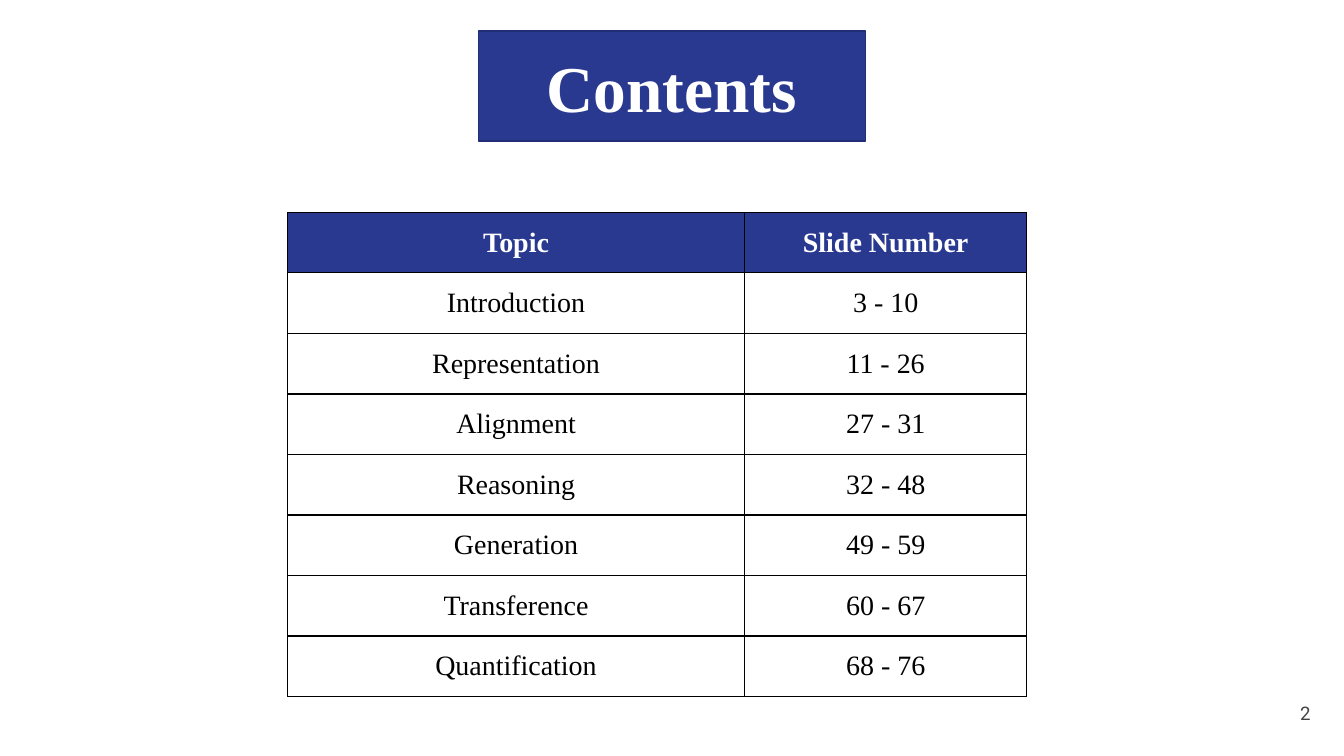
from lxml import etree
from pptx import Presentation
from pptx.dml.color import RGBColor
from pptx.enum.text import MSO_ANCHOR, PP_ALIGN
from pptx.oxml.ns import qn
from pptx.util import Inches, Pt

CENTER, RIGHT = PP_ALIGN.CENTER, PP_ALIGN.RIGHT
MIDDLE = MSO_ANCHOR.MIDDLE

NAVY, NAVY_EDGE = "2A3990", "212D74"
WHITE, BLACK, GREY = "FFFFFF", "000000", "434343"
SERIF, SANS = "Times New Roman", "Roboto"
MARGINS = ("margin_left", "margin_top", "margin_right", "margin_bottom")

HEADINGS = ("Topic", "Slide Number")
TOPICS = [
    ("Introduction", "3 - 10"),
    ("Representation", "11 - 26"),
    ("Alignment", "27 - 31"),
    ("Reasoning", "32 - 48"),
    ("Generation", "49 - 59"),
    ("Transference", "60 - 67"),
    ("Quantification", "68 - 76"),
]
COLUMN_WIDTHS = (3.4, 2.1)
ROW_HEIGHT = 0.42


def color(value):
    return RGBColor.from_string(value)


def place(box, left, top, width, height):
    box.left, box.top = Inches(left), Inches(top)
    box.width, box.height = Inches(width), Inches(height)


def write(frame, text, align, ink, **font_values):
    """Fill a text frame with one formatted paragraph."""
    frame.text = text
    para = frame.paragraphs[0]
    para.alignment = align
    span = para.runs[0]
    for name, value in font_values.items():
        setattr(span.font, name, value)
    span.font.color.rgb = color(ink)


def pad(holder):
    """Give a text frame or a cell equal margins and middle anchoring."""
    for name in MARGINS:
        setattr(holder, name, Inches(0.1))
    holder.vertical_anchor = MIDDLE


def border(cell):
    properties = cell._tc.get_or_add_tcPr()
    for side in ("a:lnL", "a:lnR", "a:lnT", "a:lnB"):
        line = etree.SubElement(properties, qn(side), w=str(Pt(0.75)))
        fill = etree.SubElement(line, qn("a:solidFill"))
        etree.SubElement(fill, qn("a:srgbClr"), val=BLACK)


def add_title(page, text):
    title = page.shapes.title
    place(title, 3.56, 0.23, 2.88, 0.82)
    title.fill.solid()
    title.fill.fore_color.rgb = color(NAVY)
    title.line.color.rgb = color(NAVY_EDGE)
    title.line.width = Pt(0.75)
    write(title.text_frame, text, CENTER, WHITE,
          size=Pt(35), name=SERIF, bold=True)
    pad(title.text_frame)


def add_contents_table(page):
    rows = [HEADINGS, *TOPICS]
    table = page.shapes.add_table(
        len(rows), len(HEADINGS), Inches(2.14), Inches(1.58),
        Inches(sum(COLUMN_WIDTHS)), Inches(ROW_HEIGHT * len(rows))).table
    for column, width in zip(table.columns, COLUMN_WIDTHS):
        column.width = Inches(width)
    for index, texts in enumerate(rows):
        heading = index == 0
        for cell, text in zip(table.rows[index].cells, texts):
            write(cell.text_frame, text, CENTER, WHITE if heading else BLACK,
                  size=Pt(15), name=SERIF, bold=heading)
            pad(cell)
            border(cell)
            if heading:
                cell.fill.solid()
                cell.fill.fore_color.rgb = color(NAVY)
            else:
                cell.fill.background()


def add_page_number(page, text):
    box = page.shapes.add_textbox(
        Inches(9.25), Inches(5.09), Inches(0.6), Inches(0.43))
    box.text_frame.word_wrap = True
    write(box.text_frame, text, RIGHT, GREY, size=Pt(10), name=SANS)
    pad(box.text_frame)


def main():
    deck = Presentation()
    deck.slide_width = Inches(10)
    deck.slide_height = deck.slide_width * 9 // 16  # widescreen
    page = deck.slides.add_slide(deck.slide_layouts[5])  # title only

    # Page number, heading and table of contents
    add_page_number(page, "2")
    add_title(page, "Contents")
    add_contents_table(page)

    deck.save("out.pptx")


if __name__ == "__main__":
    main()
